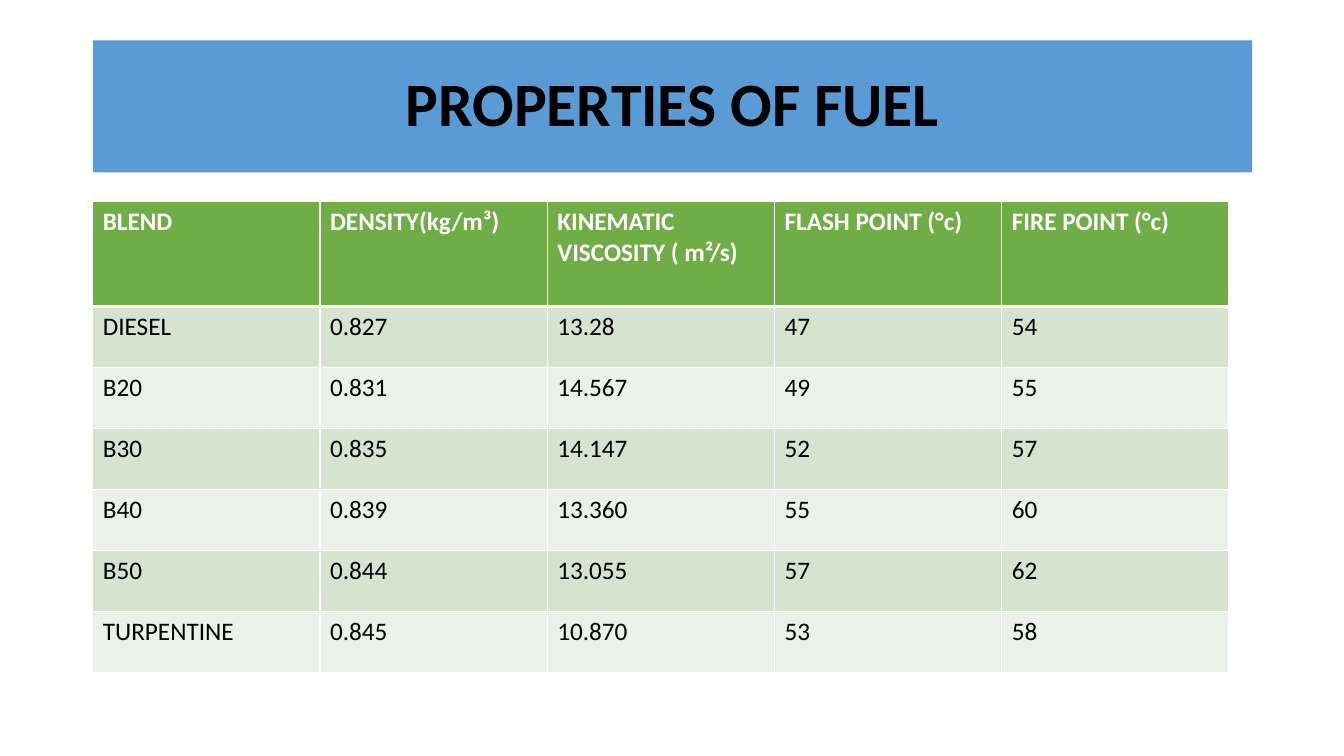
from lxml.etree import SubElement
from pptx import Presentation
from pptx.dml.color import RGBColor
from pptx.enum.text import MSO_ANCHOR, PP_ALIGN
from pptx.oxml.ns import qn
from pptx.util import Inches, Pt

COLORS = {
    "banner": "5B9BD5",
    "header": "70AD47",
    "band_dark": "D5E3CF",
    "band_light": "EBF1E9",
    "white": "FFFFFF",
    "black": "000000",
}

FUEL_ROWS = [
    ["BLEND", "DENSITY(kg/m³)", "KINEMATIC VISCOSITY ( m²/s)", "FLASH POINT (°c)", "FIRE POINT (°c)"],
    ["DIESEL", "0.827", "13.28", "47", "54"],
    ["B20", "0.831", "14.567", "49", "55"],
    ["B30", "0.835", "14.147", "52", "57"],
    ["B40", "0.839", "13.360", "55", "60"],
    ["B50", "0.844", "13.055", "57", "62"],
    ["TURPENTINE", "0.845", "10.870", "53", "58"],
]


def write_text(frame, text, size=18, color="black", bold=False, align=PP_ALIGN.LEFT, spacing=1.0):
    para = frame.paragraphs[0]
    para.alignment = align
    para.line_spacing = spacing
    span = para.add_run()
    span.text = text
    span.font.name = "Calibri"
    span.font.size = Pt(size)
    span.font.bold = bold
    span.font.color.rgb = RGBColor.from_string(COLORS[color])


def add_border(cell, side, width):
    line = SubElement(cell._tc.get_or_add_tcPr(), qn(f"a:ln{side}"), w=str(Pt(width)))
    fill = SubElement(line, qn("a:solidFill"))
    SubElement(fill, qn("a:srgbClr"), val=COLORS["white"])


# Page
deck = Presentation()
deck.slide_width = Inches(13.33)
deck.slide_height = Inches(7.5)
page = deck.slides.add_slide(deck.slide_layouts[5])

# Title banner
title = page.shapes.title
title.left, title.top = Inches(0.92), Inches(0.4)
title.width, title.height = Inches(11.5), Inches(1.31)
title.fill.solid()
title.fill.fore_color.rgb = RGBColor.from_string(COLORS["banner"])
title.text_frame.vertical_anchor = MSO_ANCHOR.MIDDLE
write_text(title.text_frame, "PROPERTIES OF FUEL", size=44, bold=True, align=PP_ALIGN.CENTER, spacing=0.9)

# Table grid
row_count, column_count = len(FUEL_ROWS), len(FUEL_ROWS[0])
table_width = 11.27
table = page.shapes.add_table(
    row_count, column_count, Inches(0.92), Inches(2), Inches(table_width), Inches(4.67)
).table
for column in table.columns:
    column.width = Inches(table_width / column_count)
for row_index, row in enumerate(table.rows):
    row.height = Inches(1.04 if row_index == 0 else 0.605)

# Table cells: green header, then alternating bands
for row_index, values in enumerate(FUEL_ROWS):
    is_header = row_index == 0
    band = "header" if is_header else "band_dark" if row_index % 2 else "band_light"
    for column_index, value in enumerate(values):
        cell = table.cell(row_index, column_index)
        add_border(cell, "L", 1)
        add_border(cell, "R", 1)
        add_border(cell, "T", 3 if row_index == 1 else 1)
        add_border(cell, "B", 3 if is_header else 1)
        cell.fill.solid()
        cell.fill.fore_color.rgb = RGBColor.from_string(COLORS[band])
        write_text(cell.text_frame, value, color="white" if is_header else "black", bold=is_header)

deck.save("out.pptx")
